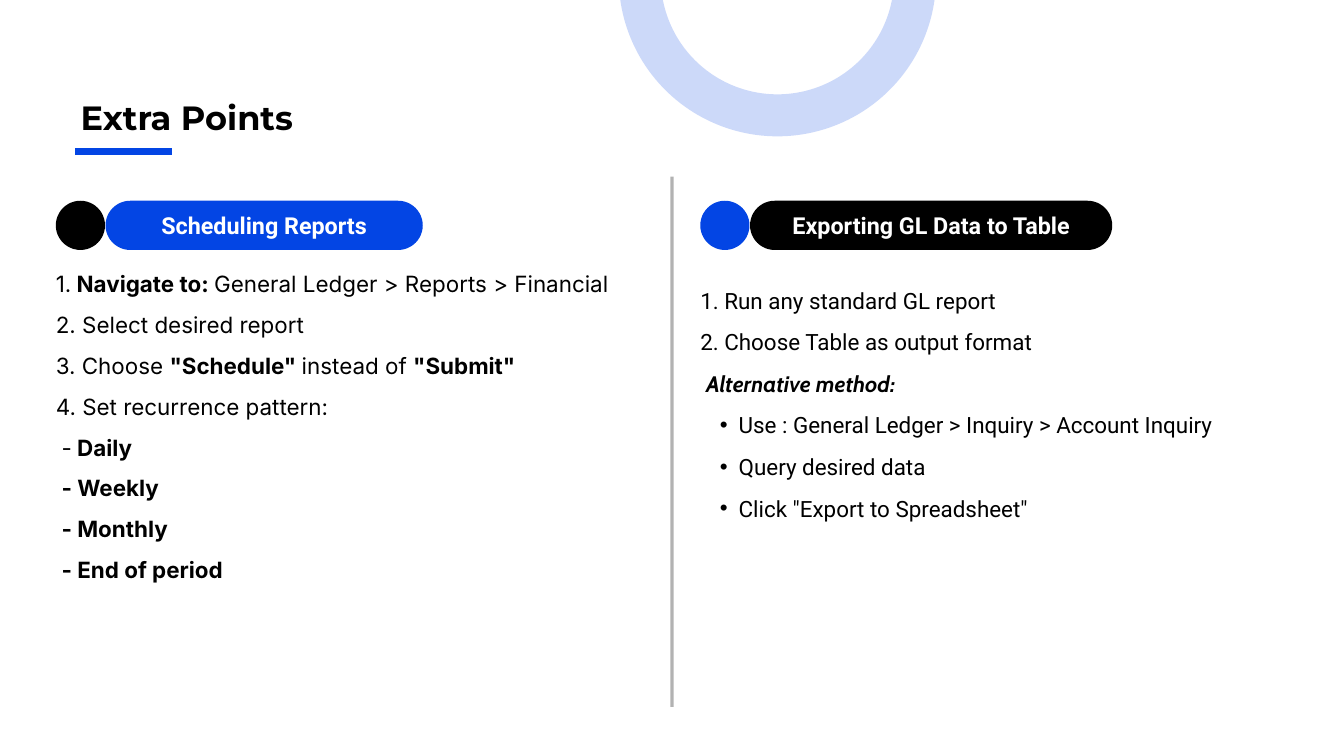
from lxml import etree
from pptx import Presentation
from pptx.dml.color import RGBColor
from pptx.enum.shapes import MSO_CONNECTOR, MSO_SHAPE
from pptx.enum.text import MSO_ANCHOR, PP_ALIGN
from pptx.oxml.ns import qn
from pptx.util import Cm, Pt

BLUE = RGBColor(0x03, 0x45, 0xE4)
BLACK = RGBColor(0, 0, 0)
WHITE = RGBColor(0xFF, 0xFF, 0xFF)
OVAL = MSO_SHAPE.OVAL
PILL = MSO_SHAPE.ROUNDED_RECTANGLE
STRAIGHT = MSO_CONNECTOR.STRAIGHT
LEFT, CENTER, JUSTIFY = PP_ALIGN.LEFT, PP_ALIGN.CENTER, PP_ALIGN.JUSTIFY
TOP, MIDDLE = MSO_ANCHOR.TOP, MSO_ANCHOR.MIDDLE

LEFT_COLUMN, RIGHT_COLUMN = 2.11, 26.47
HEADING_TOP, HEADING_HEIGHT = 7.59, 1.86
DASH_INDENT = 0.22
BULLET_INDENT, BULLET_HANGING = 1.45, 0.71


class SlideBuilder:
    title_font = "Montserrat"
    heading_font = "Roboto"
    body_size = 24

    def __init__(self, slide):
        self.slide = slide

    def set_opacity(self, shape, percent):
        color = shape.element.xpath(".//a:ln//a:srgbClr")[0]
        etree.SubElement(color, qn("a:alpha")).set("val", str(percent * 1000))

    def line(self, start, end, color, width, opacity=100):
        connector = self.slide.shapes.add_connector(STRAIGHT, *map(Cm, start + end))
        connector.line.color.rgb = color
        connector.line.width = Pt(width)
        etree.SubElement(connector.element.spPr, qn("a:effectLst"))
        if opacity < 100:
            self.set_opacity(connector, opacity)

    def filled_shape(self, kind, left, top, width, height, color):
        shape = self.slide.shapes.add_shape(kind, *map(Cm, (left, top, width, height)))
        shape.shadow.inherit = False
        shape.fill.solid()
        shape.fill.fore_color.rgb = color
        shape.line.fill.background()
        return shape

    def ring(self, left, top, diameter, color, width, opacity):
        shape = self.filled_shape(OVAL, left, top, diameter, diameter, color)
        shape.fill.background()
        shape.line.color.rgb = color
        shape.line.width = Pt(width)
        self.set_opacity(shape, opacity)

    def format_frame(self, frame, anchor=TOP, bottom=0):
        frame.word_wrap = True
        frame.vertical_anchor = anchor
        frame.margin_left = frame.margin_top = frame.margin_right = 0
        frame.margin_bottom = Cm(bottom)

    def format_paragraph(self, paragraph, font, size, spacing, align, color=BLACK, bold=False):
        paragraph.alignment = align
        paragraph.line_spacing = Pt(spacing)
        for run in paragraph.runs:
            run.font.name = font
            run.font.size = Pt(size)
            run.font.color.rgb = color
            run.font.bold = bold

    def text_box(self, left, top, width, height):
        box = self.slide.shapes.add_textbox(*map(Cm, (left, top, width, height)))
        self.format_frame(box.text_frame)
        return box.text_frame

    def title(self, text, left, top, width, height):
        frame = self.text_box(left, top, width, height)
        frame.text = text
        self.format_paragraph(frame.paragraphs[0], self.title_font, 36, 50.4, LEFT, bold=True)

    def heading(self, text, left, width, pill_color, dot_color):
        self.filled_shape(OVAL, left, HEADING_TOP, HEADING_HEIGHT, HEADING_HEIGHT, dot_color)
        pill = self.filled_shape(
            PILL, left + HEADING_HEIGHT + 0.02, HEADING_TOP, width, HEADING_HEIGHT, pill_color)
        pill.adjustments[0] = 0.5
        frame = pill.text_frame
        self.format_frame(frame, MIDDLE, 0.2)
        frame.text = text
        self.format_paragraph(
            frame.paragraphs[0], self.heading_font, 25, 35, CENTER, WHITE, True)

    def indent(self, paragraph, left, hanging=0, bullet=None):
        properties = paragraph._p.get_or_add_pPr()
        properties.set("marL", str(Cm(left)))
        properties.set("indent", str(-Cm(hanging)))
        if bullet:
            etree.SubElement(properties, qn("a:buFont")).set("typeface", "Arial")
            etree.SubElement(properties, qn("a:buChar")).set("char", bullet)

    def body(self, items, left, top, width, height, font, spacing, align):
        frame = self.text_box(left, top, width, height)
        for index, (pieces, indent) in enumerate(items):
            paragraph = frame.add_paragraph() if index else frame.paragraphs[0]
            if indent:
                self.indent(paragraph, *indent)
            for text in pieces:
                paragraph.add_run().text = text
            self.format_paragraph(paragraph, font, self.body_size, spacing, align)
            for run in paragraph.runs[1::2]:
                run.font.bold = True
        return frame


def main():
    presentation = Presentation()
    presentation.slide_width, presentation.slide_height = Cm(50.8), Cm(28.58)
    builder = SlideBuilder(presentation.slides.add_slide(presentation.slide_layouts[6]))

    builder.line((25.4, 6.68), (25.4, 26.72), BLACK, 3.75, 30)
    builder.line((2.84, 5.72), (6.5, 5.72), BLUE, 7.5)
    builder.heading("Scheduling Reports", LEFT_COLUMN, 11.99, BLUE, BLACK)
    builder.heading("Exporting GL Data to Table", RIGHT_COLUMN, 13.69, BLACK, BLUE)
    builder.ring(24.18, -6.05, 10.41, BLUE, 45, 20)
    builder.title("Extra Points", 3.05, 3.4, 33.68, 1.7)

    dash = (DASH_INDENT,)
    schedule = [
        (("1.", " Navigate to: ", "General Ledger > Reports > Financial"), None),
        (("2. Select desired report",), None),
        (("3. Choose ", '"Schedule" ', "instead of ", '"Submit"'), None),
        (("4. Set recurrence pattern:",), None),
        (("-", " Daily"), dash),
    ] + [(("", f"- {period}"), dash) for period in ("Weekly", "Monthly", "End of period")]
    builder.body(schedule, LEFT_COLUMN, 9.7, 23.09, 12.14, "Inter", 43.7, LEFT)

    bullet = (BULLET_INDENT, BULLET_HANGING, "•")
    export = [
        (("1. Run any standard GL report",), None),
        (("2. Choose Table as output format",), None),
        (("", "Alternative method:"), dash),
        (("Use : General Ledger > Inquiry > Account Inquiry",), bullet),
        (("Query desired data",), bullet),
        (('Click "Export to Spreadsheet"',), bullet),
    ]
    frame = builder.body(export, RIGHT_COLUMN, 10.28, 21.64, 9.44, "Roboto", 44.6, JUSTIFY)
    alternative = frame.paragraphs[2].runs[1]
    alternative.font.name = "Cabin"
    alternative.font.italic = True

    presentation.save("out.pptx")


if __name__ == "__main__":
    main()
